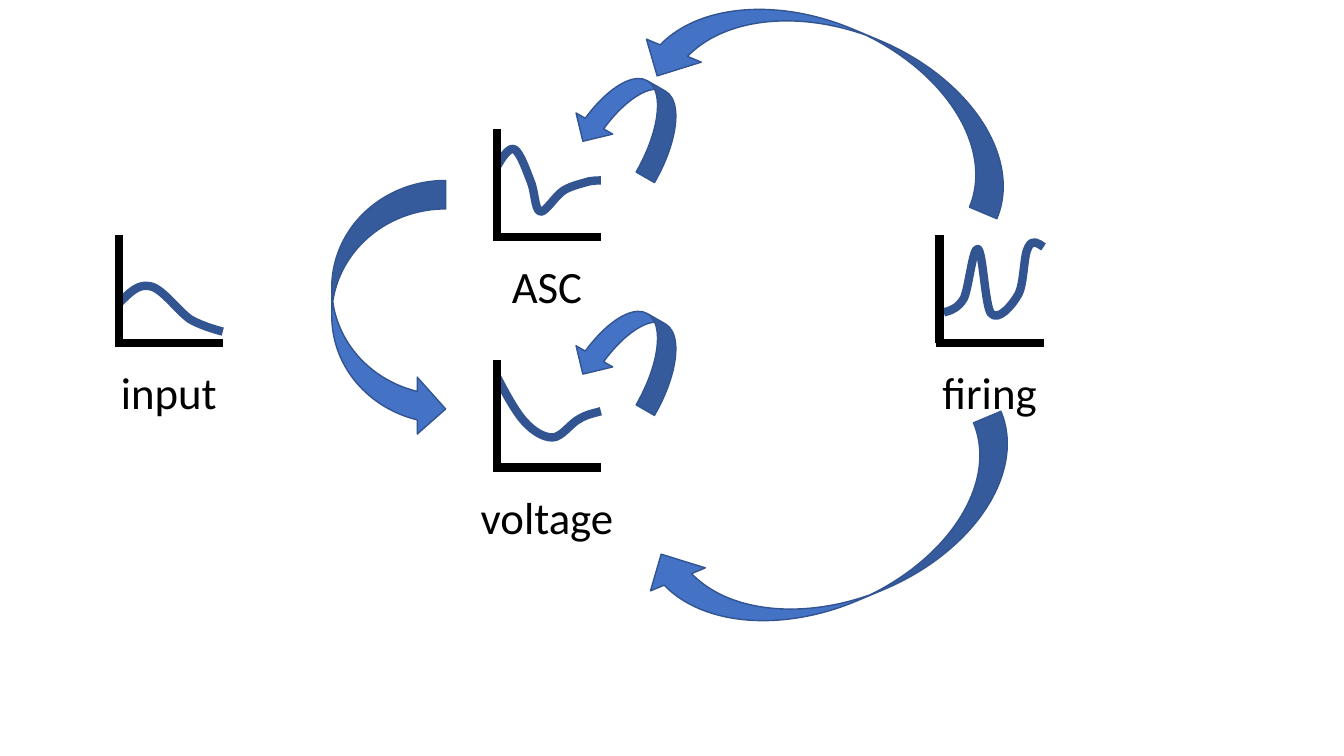
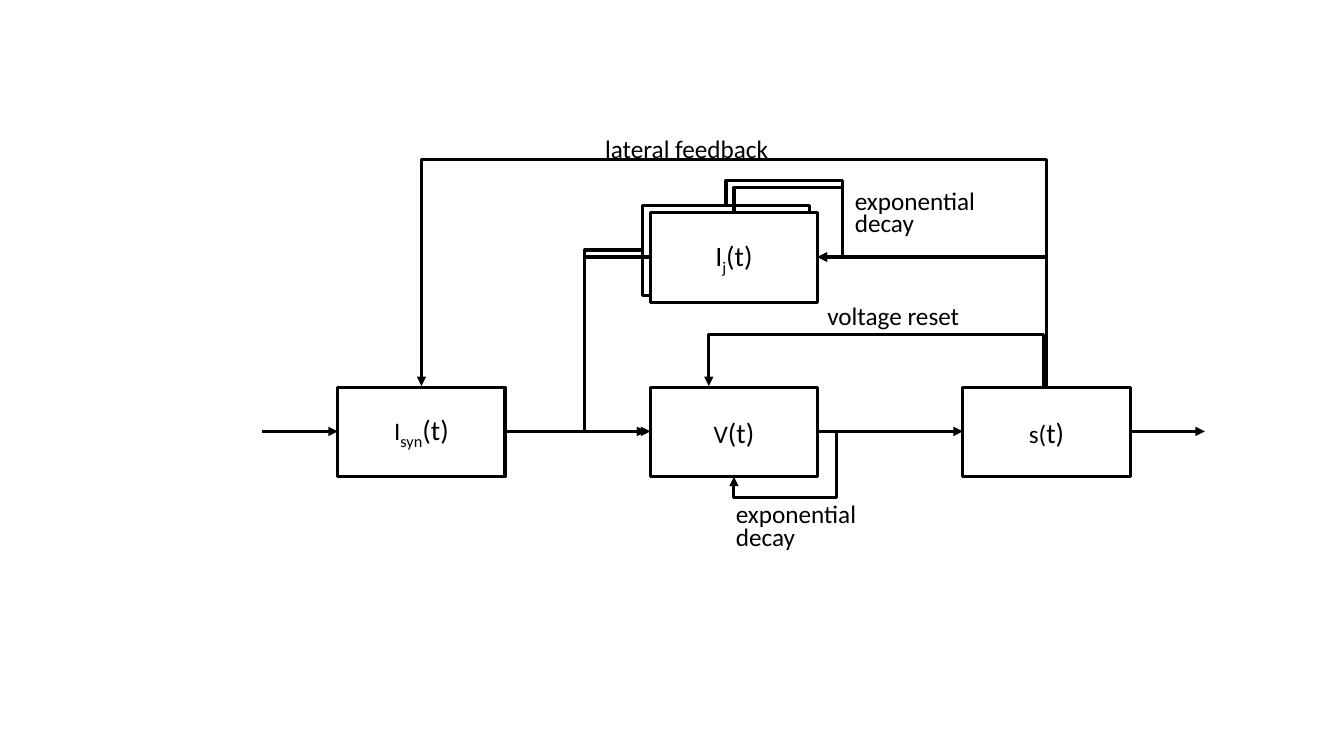
from lxml import etree
from pptx import Presentation
from pptx.dml.color import RGBColor
from pptx.enum import shapes, text
from pptx.oxml import ns
from pptx import util as u

COLORS = {"ink": "000000", "paper": "FFFFFF", "arrow": "4472C4", "curve": "325491"}
FONT = "Calibri"
CENTER, LEFT = text.PP_ALIGN.CENTER, text.PP_ALIGN.LEFT


# Shared helpers
def color(name):
    return RGBColor.from_string(COLORS[name])


def inches(*lengths):
    return [u.Inches(length) for length in lengths]


def apply(target, values):
    for name, value in values.items():
        setattr(target, name, value)


def child(parent, tag, **attributes):
    return etree.SubElement(parent, ns.qn(tag), **attributes)


def outline(shape, name, width):
    shape.line.color.rgb = color(name)
    shape.line.width = u.Pt(width)


def write(shape, spans, align=CENTER, anchor=text.MSO_ANCHOR.MIDDLE, spacing=None):
    """Each span is (words, size) or (words, size, baseline)."""
    apply(shape.text_frame, {"word_wrap": True, "vertical_anchor": anchor})
    para = shape.text_frame.paragraphs[0]
    apply(para, {"alignment": align, "line_spacing": spacing})
    for words, size, *baseline in spans:
        span = para.add_run()
        span.text = words
        apply(span.font, {"name": FONT, "size": u.Pt(size)})
        span.font.color.rgb = color("ink")
        if baseline:
            span.font._element.set("baseline", baseline[0])


def add_label(page, box, words, size, **layout):
    write(page.shapes.add_textbox(*inches(*box)), [(words, size)], **layout)


def add_line(page, start, end, width, kind=shapes.MSO_CONNECTOR.STRAIGHT, arrow=False):
    line = page.shapes.add_connector(kind, *inches(*start, *end))
    outline(line, "ink", width)
    if arrow:
        child(line._element.spPr.find(ns.qn("a:ln")), "a:tailEnd", type="triangle")
    child(line._element.spPr, "a:effectLst")
    return line


def add_route(page, *points, width=2.25):
    """Elbow arrow through right-angled corners; its frame turns if it starts upright."""
    (x1, y1), (x2, y2) = start, end = points[0], points[-1]
    upright = points[1][0] == x1
    local = [(y1 - y, x - x1) if upright else (x - x1, y - y1) for x, y in points]
    across, down = local[-1]
    wide, high = abs(across), abs(down)
    line = add_line(page, start, end, width, shapes.MSO_CONNECTOR.ELBOW, arrow=True)
    left, top = (x1 + x2 - wide) / 2, (y1 + y2 - high) / 2
    frame = line._element.spPr.find(ns.qn("a:xfrm"))
    for name, value in {"flipH": across < 0, "flipV": down < 0}.items():
        frame.set(name, str(int(value)))
    frame.set("rot", str(270 * 60000 if upright else 0))
    apply(line, dict(zip(("left", "top", "width", "height"), inches(left, top, wide, high))))
    # Corner positions as shares of the frame
    shares = {2: [], 3: [local[1][0] / across],
              4: [local[1][0] / across, local[2][1] / down if down else 0]}
    corners = len(points) - 1
    geometry = line._element.spPr.find(ns.qn("a:prstGeom"))
    geometry.set("prst", f"bentConnector{corners}")
    guides = geometry.find(ns.qn("a:avLst"))
    if guides is None:
        guides = child(geometry, "a:avLst")
    for number, share in enumerate(shares[corners], 1):
        child(guides, "a:gd", name=f"adj{number}", fmla=f"val {round(share * 100000)}")


# Signal overview: small plots and curved arrows
PLOT = 1.07
SIGNALS = {
    "input": (1.14, 2.33, [
        (.04, .68), (.14, .58), (.23, .48), (.35, .51), (.47, .53), (.63, .76),
        (.75, .84), (.87, .91), (1.07, .96), (1.07, .96)]),
    "voltage": (4.89, 3.57, [
        (.04, .17), (.13, .34), (.22, .51), (.31, .61), (.40, .71), (.50, .77),
        (.59, .77), (.68, .77), (.77, .63), (.85, .59), (.93, .54), (1, .53), (1.07, .51)]),
    "ASC": (4.89, 1.28, [
        (.04, .37), (.10, .27), (.16, .18), (.21, .20), (.27, .23), (.33, .41),
        (.37, .51), (.42, .62), (.41, .80), (.47, .82), (.52, .83), (.62, .66),
        (.70, .61), (.78, .56), (.89, .54), (.95, .52), (1.01, .51), (1.04, .51),
        (1.07, .51)]),
    "firing": (9.28, 2.33, [
        (.08, .77), (.15, .75), (.22, .73), (.28, .63), (.33, .52), (.37, .11),
        (.42, .14), (.47, .17), (.49, .71), (.55, .78), (.62, .86), (.76, .70),
        (.82, .59), (.88, .48), (.87, .20), (.92, .12), (.96, .04), (1.01, .08),
        (1.07, .12)]),
}
CURVED_ARROWS = [  # box, rotation, flipped
    ((5.74, .77, 1.03, .84), 210, False),
    ((6.32, .27, 3.95, 1.18), 202.8, False),
    ((2.58, 2.5, 2.55, 1.13), 90, False),
    ((5.74, 3.08, 1.03, .84), 210, False),
    ((6.36, 4.8, 3.95, 1.18), 157.2, True),
]


def add_curve(page, points):
    """A start point, then three points (two handles and an end) per Bezier piece."""
    start, *rest = [inches(*point) for point in points]
    builder = page.shapes.build_freeform(*start)
    builder.add_line_segments(rest, close=False)
    curve = builder.convert_to_shape()
    curve.shadow.inherit = False
    curve.fill.background()
    outline(curve, "curve", 6)
    steps = list(curve._element.iter(ns.qn("a:lnTo")))
    track = steps[0].getparent()
    for index in range(0, len(steps), 3):
        piece = child(track, "a:cubicBezTo")
        for step in steps[index:index + 3]:
            piece.append(step[0])
            track.remove(step)


def add_plot(page, name, left, top, points):
    add_curve(page, [(left + x, top + y) for x, y in points])
    axis, base = left + .04, top + PLOT
    add_line(page, (axis, top), (axis, base), 6)
    add_line(page, (left, base), (left + PLOT, base), 6)
    add_label(page, (left - .36, top + 1.24, 1.79, .64), name, 32,
              anchor=text.MSO_ANCHOR.TOP)


def add_curved_arrow(page, box, rotation, flipped):
    arrow = page.shapes.add_shape(shapes.MSO_SHAPE.CURVED_UP_ARROW, *inches(*box))
    arrow.shadow.inherit = False
    arrow.rotation = rotation
    arrow.fill.solid()
    arrow.fill.fore_color.rgb = color("arrow")
    outline(arrow, "curve", 1)
    if flipped:
        arrow._element.spPr.find(ns.qn("a:xfrm")).set("flipV", "1")


def signal_slide(page):
    for name, plot in SIGNALS.items():
        add_plot(page, name, *plot)
    for arrow in CURVED_ARROWS:
        add_curved_arrow(page, *arrow)


# Block diagram: three columns, two rows
WIDE, HIGH = 1.66, .89
SYN, VOLT, SPIKE = [3.35 + 3.1 * column for column in range(3)]
UPPER, LOWER = 2.11, 3.84
MIDDLE = 4.28
BACK = (-.08, -.07)


def add_block(page, left, top, spans=(), filled=False):
    block = page.shapes.add_shape(shapes.MSO_SHAPE.RECTANGLE, *inches(left, top, WIDE, HIGH))
    block.shadow.inherit = False
    if filled:
        block.fill.solid()
        block.fill.fore_color.rgb = color("paper")
    else:
        block.fill.background()
    outline(block, "ink", 2.25)
    write(block, spans)


def add_current_loops(page, shift, join):
    """Output and decay loop of one after-spike current block."""
    left, top = VOLT + shift[0], UPPER + shift[1]
    center, side = left + WIDE / 2, top + .44
    add_route(page, (left, side), (5.8, side), (5.8, MIDDLE), (join, MIDDLE))
    add_route(page, (center, top), (center, top - .25), (8.36, top - .25),
              (8.36, 2.55), (VOLT + WIDE, 2.55))


def block_slide(page):
    # Blocks
    add_block(page, VOLT + BACK[0], UPPER + BACK[1])
    add_block(page, SYN, LOWER, [("I", 18), ("syn", 20, "-25000"), ("(t)", 20)])
    add_block(page, VOLT, LOWER, [("V", 18), ("(t)", 20)])
    add_block(page, VOLT, UPPER, [("I", 20), ("j", 20, "-25000"), ("(t)", 20)], filled=True)
    add_block(page, SPIKE, LOWER, [("s(", 18), ("t)", 20)])
    # Forward path
    for start, end in [(2.6, SYN), (SYN + WIDE, 6.41), (VOLT + WIDE, SPIKE),
                       (SPIKE + WIDE, 11.95)]:
        add_line(page, (start, MIDDLE), (end, MIDDLE), 2.25, arrow=True)
    # Feedback from the spike block
    spike, syn, volt = [left + WIDE / 2 for left in (SPIKE, SYN, VOLT)]
    add_route(page, (spike, LOWER), (spike, 2.55), (VOLT + WIDE, 2.55))
    add_route(page, (10.35, 3.85), (10.35, 3.32), (7.03, 3.32), (7.03, 3.83))
    add_route(page, (spike, 3.85), (spike, 1.59), (syn, 1.59), (syn, 3.83))
    # Decay loops
    add_route(page, (VOLT + WIDE, MIDDLE), (8.3, MIDDLE), (8.3, 4.94), (volt, 4.94),
              (volt, LOWER + HIGH))
    add_current_loops(page, (0, 0), 6.41)
    add_current_loops(page, BACK, VOLT)
    # Labels
    add_label(page, (7.64, 2.92, 2.44, .42), "voltage reset", 18)
    add_label(page, (5.59, 1.26, 2.44, .42), "lateral feedback", 18)
    for left, top in [(8.38, 1.79), (7.2, 4.9)]:
        add_label(page, (left, top, WIDE, .69), "exponential decay", 18,
                  align=LEFT, spacing=u.Pt(16))


# Deck
deck = Presentation()
apply(deck, {"slide_width": u.Inches(13.33), "slide_height": u.Inches(7.5)})
for draw in (signal_slide, block_slide):
    draw(deck.slides.add_slide(deck.slide_layouts[6]))
deck.save("out.pptx")
